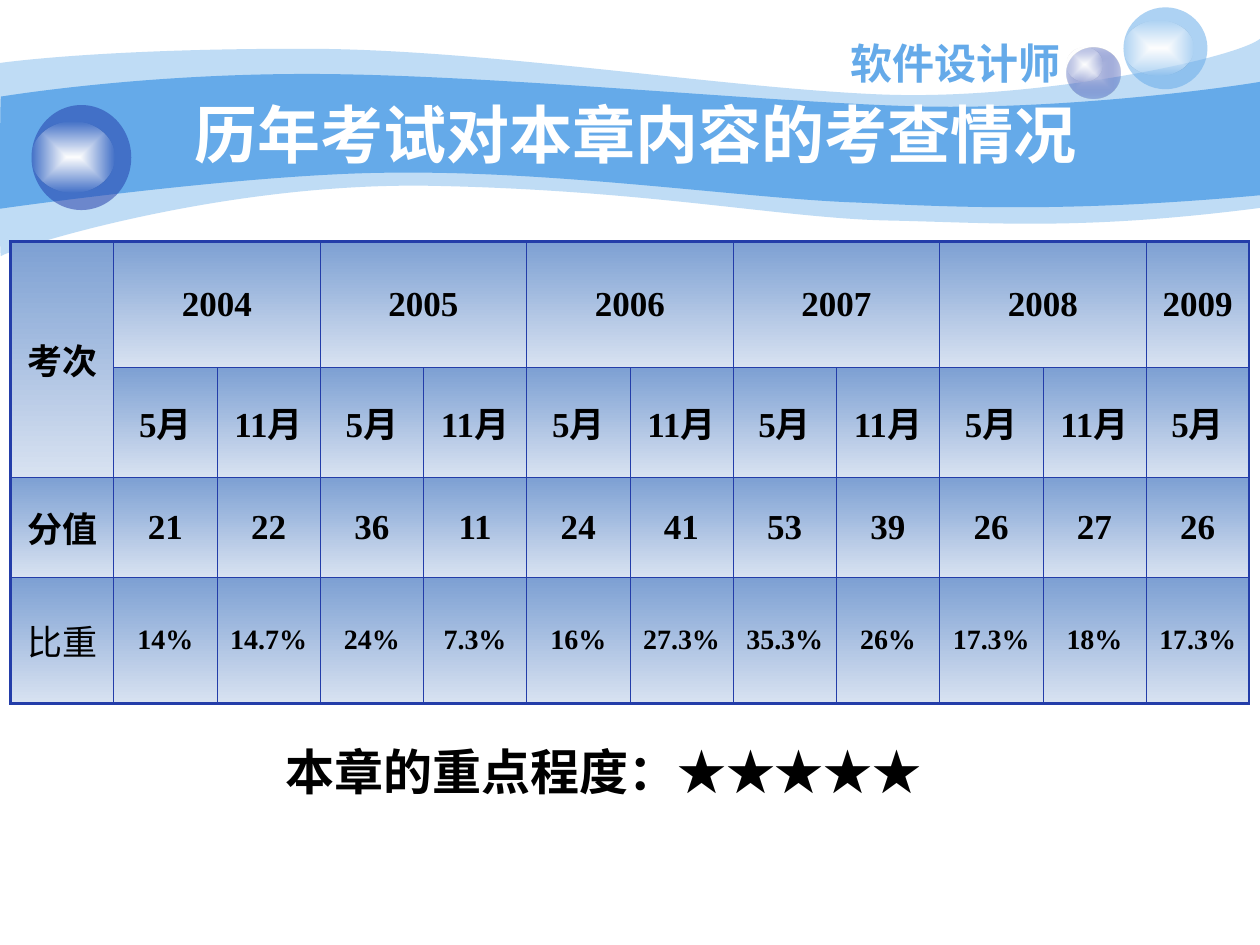
from pptx import Presentation
from pptx.enum.shapes import MSO_SHAPE as Shape
from pptx.enum.text import MSO_ANCHOR as Anchor, PP_ALIGN as Align
from pptx.oxml import parse_xml
from pptx.oxml.ns import nsdecls, qn
from pptx.util import Inches, Pt

COLUMNS, ROWS = 120, 90
WIDTH, HEIGHT = Inches(10), Inches(7.5)
SKY, NAVY, BLACK, WHITE = "65AAE9", "233DA9", "000000", "FFFFFF"
HAN, SERIF, SANS = "Noto Sans CJK SC", "Times New Roman", "Arial"
GLOSS = [(WHITE, 100), ("FEFEFE", 0)]
CELL_STOPS = [("7DA0D3", 100), ("D8E2F1", 100)]
TO_CENTRE = ('<a:path path="rect"><a:fillToRect l="50000" t="50000" '
             'r="50000" b="50000"/></a:path>')
DOWNWARD = '<a:lin ang="5400000" scaled="0"/>'

OUTER_WAVE = [(0, 6), [
    [(2.9, 5.6), (12.8, 4.6), (29.6, 4.65)],
    [(46.3, 4.7), (69, 8.4), (83.9, 9)],
    [(98.6, 9.6), (117.6, 5.6), (120, 3.7)],
    [(120, 19.8)],
    [(103, 22), (94.4, 21.2), (84.6, 21)],
    [(74.6, 20.8), (61.8, 18.1), (41.2, 17.7)],
    [(20.6, 17.3), (0.5, 23.9), (0.1, 24.4)],
    [(-0.1, 25), (0, 9), (0, 6)]]]
INNER_WAVE = [(0.1, 9.2), [
    [(0.2, 9.2), (13.2, 7), (29.8, 7.05)],
    [(46.3, 7.1), (71.4, 9.6), (86.2, 10.1)],
    [(100.9, 10.6), (117.1, 8.3), (120, 7.8)],
    [(120, 18.6)],
    [(102.4, 20.2), (91.8, 19.8), (81.8, 19.3)],
    [(71.9, 19), (53.6, 16.3), (38, 16.45)],
    [(24.4, 16.4), (-0.2, 19.9), (-0.1, 19.9)],
    [(0, 19.9), (0, 9.2), (0.1, 9.2)]]]

YEARS = ["2004", "2005", "2006", "2007", "2008", "2009"]
SCORES = ["21", "22", "36", "11", "24", "41", "53", "39", "26", "27", "26"]
WEIGHTS = ["14%", "14.7%", "24%", "7.3%", "16%", "27.3%", "35.3%", "26%",
           "17.3%", "18%", "17.3%"]
ROW_HEIGHTS = [12, 10.45, 9.55, 12]


def across(columns):
    return round(WIDTH * columns / COLUMNS)


def down(rows):
    return round(HEIGHT * rows / ROWS)


def area(left, top, width, height):
    return across(left), down(top), across(width), down(height)


def color_xml(color, alpha=100):
    opacity = f'<a:alpha val="{alpha * 1000}"/>' if alpha < 100 else ""
    return f'<a:srgbClr val="{color}">{opacity}</a:srgbClr>'


def paint(fill, properties, stops, direction=TO_CENTRE):
    if len(stops) == 1:
        tag, content = "solidFill", color_xml(*stops[0])
    else:
        tag = "gradFill"
        start, end = [color_xml(*stop) for stop in stops]
        content = (f'<a:gsLst><a:gs pos="0">{start}</a:gs>'
                   f'<a:gs pos="100000">{end}</a:gs></a:gsLst>{direction}')
    fill.background()
    empty = properties.find(qn("a:noFill"))
    properties.replace(empty, parse_xml(
        f'<a:{tag} {nsdecls("a")}>{content}</a:{tag}>'))


def finish(shape, stops):
    shape.shadow.inherit = False
    paint(shape.fill, shape.element.spPr, stops)
    shape.line.fill.background()


def bend(shape, segments):
    lines = iter(list(shape.element.iter(qn("a:lnTo"))))
    for segment in segments:
        pieces = [next(lines) for _ in segment]
        if len(pieces) == 3:
            curve = parse_xml(f'<a:cubicBezTo {nsdecls("a")}/>')
            pieces[0].addprevious(curve)
            for piece in pieces:
                curve.append(piece[0])
                piece.getparent().remove(piece)


def add_wave(slide, outline, alpha):
    start, segments = outline
    points = [start] + [point for segment in segments for point in segment]
    corners = [(across(x), down(y)) for x, y in points]
    builder = slide.shapes.build_freeform(*corners[0])
    builder.add_line_segments(corners[1:], close=True)
    shape = builder.convert_to_shape()
    bend(shape, segments)
    finish(shape, [(SKY, alpha)])


def add_bubble(slide, body, highlight, stops):
    for place, colors in ((body, stops), (highlight, GLOSS)):
        finish(slide.shapes.add_shape(Shape.OVAL, *area(*place)), colors)


def add_run(paragraph, text, size, color, latin, bold=True):
    run = paragraph.add_run()
    run.text = text
    font = run.font
    font.size, font.bold, font.name = Pt(size), bold, latin
    properties = run._r.get_or_add_rPr()
    paint(font.fill, properties, [(color, 100)])
    properties.append(parse_xml(
        f'<a:ea {nsdecls("a")} typeface="{HAN}"/>'))


def add_text(slide, place, runs, size, color, anchor=Anchor.MIDDLE, wrap=True):
    frame = slide.shapes.add_textbox(*area(*place)).text_frame
    frame.word_wrap = wrap
    frame.vertical_anchor = anchor
    paragraph = frame.paragraphs[0]
    paragraph.alignment = Align.CENTER
    for text, latin in runs:
        add_run(paragraph, text, size, color, latin)


def style_cell(cell, outer_sides):
    properties = cell._tc.get_or_add_tcPr()
    paint(cell.fill, properties, CELL_STOPS, DOWNWARD)
    for index, side in enumerate("LRTB"):
        width = Pt(1.47 if side in outer_sides else 0.34)
        properties.insert(index, parse_xml(
            f'<a:ln{side} {nsdecls("a")} w="{width}"><a:solidFill>'
            f'{color_xml(NAVY)}</a:solidFill></a:ln{side}>'))


def write_cell(cell, text, size=20, bold=True):
    cell.vertical_anchor = Anchor.MIDDLE
    paragraph = cell.text_frame.paragraphs[0]
    paragraph.alignment = Align.CENTER
    add_run(paragraph, text, size, BLACK, SERIF, bold)


def add_score_table(slide):
    row_count, column_count = len(ROW_HEIGHTS), len(SCORES) + 1
    table = slide.shapes.add_table(
        row_count, column_count, *area(1, 23, 118, sum(ROW_HEIGHTS))).table
    table.first_row = table.horz_banding = False
    for row, height in zip(table.rows, ROW_HEIGHTS):
        row.height = down(height)
    for r in range(row_count):
        for c in range(column_count):
            edges = {"L": c == 0, "R": c == column_count - 1,
                     "T": r == 0, "B": r == row_count - 1}
            style_cell(table.cell(r, c), [s for s in edges if edges[s]])

    table.cell(0, 0).merge(table.cell(1, 0))
    for row, label in ((0, "考次"), (2, "分值"), (3, "比重")):
        write_cell(table.cell(row, 0), label, bold=row < 3)
    for index, year in enumerate(YEARS):
        first = 1 + 2 * index
        if first + 1 < column_count:
            table.cell(0, first).merge(table.cell(0, first + 1))
        write_cell(table.cell(0, first), year)
    for column, (score, weight) in enumerate(zip(SCORES, WEIGHTS), 1):
        write_cell(table.cell(1, column), "5月" if column % 2 else "11月")
        write_cell(table.cell(2, column), score)
        write_cell(table.cell(3, column), weight, size=16)


def main():
    presentation = Presentation()
    presentation.slide_width, presentation.slide_height = WIDTH, HEIGHT
    slide = presentation.slides.add_slide(presentation.slide_layouts[6])
    add_wave(slide, OUTER_WAVE, 41)
    add_wave(slide, INNER_WAVE, 100)
    add_bubble(slide, (101.6, 4.5, 5.1, 4.9), (101.6, 4.5, 3.4, 3.3),
               [("C6CCE8", 100), (NAVY, 31)])
    add_bubble(slide, (107, 0.7, 8, 7.8), (107, 2, 6.7, 5.2), [(SKY, 53)])
    add_bubble(slide, (3, 10, 9.5, 10), (3, 11.6, 7.9, 6.7), [(NAVY, 53)])
    add_text(slide, (72, 3, 38, 6), [("软件设计师", HAN)], 24, SKY, wrap=False)
    add_text(slide, (12, 9, 97, 7.4),
             [("历年考试对本章内容的考查情况", HAN)], 36, WHITE)
    add_score_table(slide)
    add_text(slide, (10, 70, 95, 6.8),
             [("本章的重点程度：", SANS), ("★★★★★", HAN)], 28, BLACK, Anchor.TOP)
    presentation.save("out.pptx")


if __name__ == "__main__":
    main()
